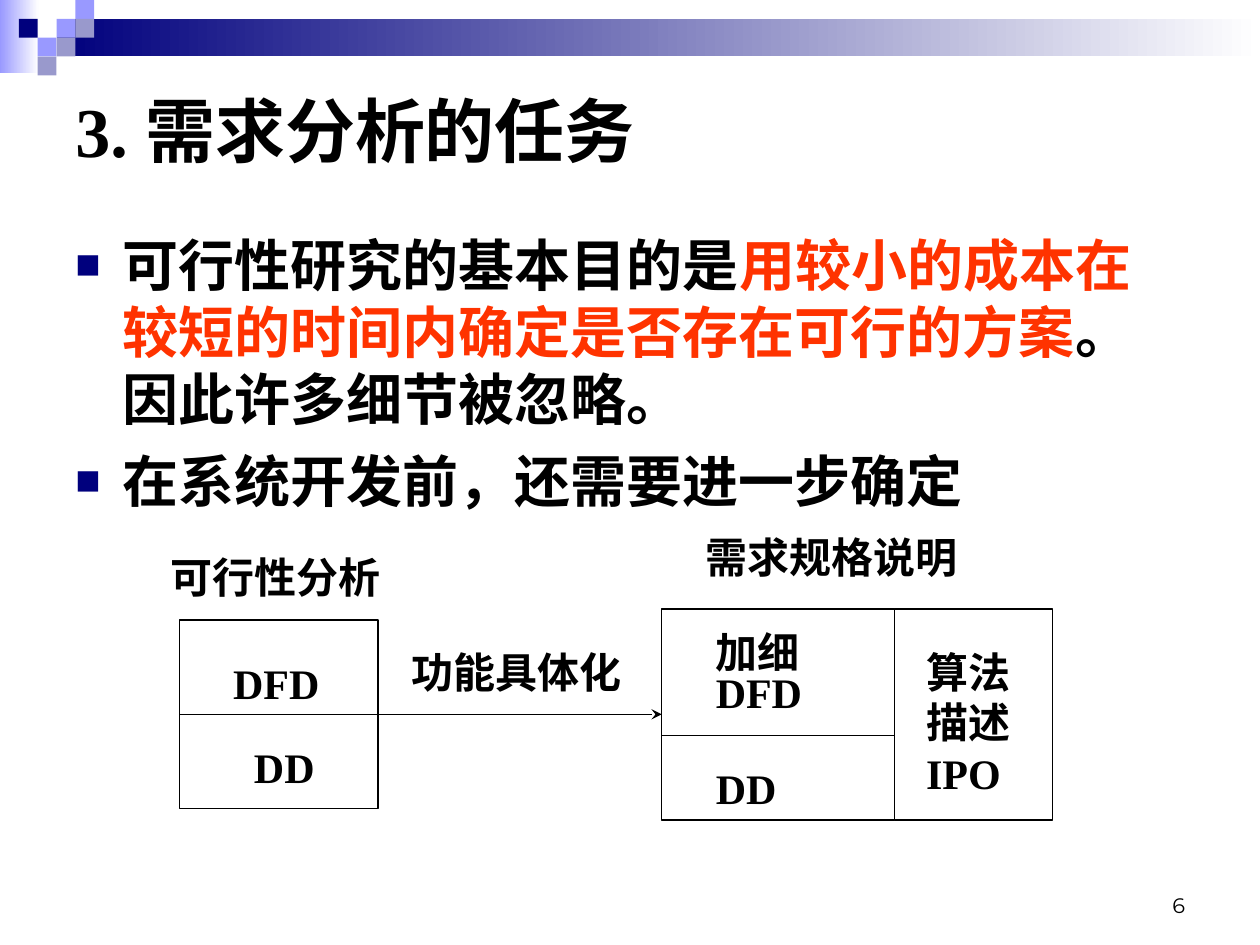
import pptx
import pptx.dml.color
import pptx.enum.shapes
import pptx.enum.text
import pptx.oxml
import pptx.oxml.ns
import pptx.util
from pptx.util import Cm

COLORS = {
    "black": "000000",
    "white": "FFFFFF",
    "navy": "00007D",
    "lilac": "9999FF",
    "dusk": "9999CC",
    "red": "FF3300",
}
SERIF = "Times New Roman"
BRICK = 0.38
ANCHOR = pptx.enum.text.MSO_ANCHOR
ALIGN = pptx.enum.text.PP_ALIGN


def rgb(name):
    return pptx.dml.color.RGBColor.from_string(COLORS[name])


def append_xml(parent, tag, content="", **attributes):
    pairs = " ".join(f'{key}="{value}"' for key, value in attributes.items())
    namespace = pptx.oxml.ns.nsdecls("a")
    element = pptx.oxml.parse_xml(f"<a:{tag} {namespace} {pairs}>{content}</a:{tag}>")
    parent.append(element)


def add_rectangle(page, left, top, width, height, fill=None, fade_from=None, outline=None):
    kind = pptx.enum.shapes.MSO_SHAPE.RECTANGLE
    shape = page.shapes.add_shape(kind, Cm(left), Cm(top), Cm(width), Cm(height))
    shape.shadow.inherit = False
    if fade_from:
        shape.fill.gradient()
        shape.fill.gradient_angle = 0
        for stop, color in zip(shape.fill.gradient_stops, (fade_from, "white")):
            stop.color.rgb = rgb(color)
    elif fill:
        shape.fill.solid()
        shape.fill.fore_color.rgb = rgb(fill)
    else:
        shape.fill.background()
    if outline:
        shape.line.color.rgb = rgb(outline)
        shape.line.width = pptx.util.Pt(0.75)
    else:
        shape.line.fill.background()


def add_arrow(page, start, end, height):
    kind = pptx.enum.shapes.MSO_CONNECTOR.STRAIGHT
    arrow = page.shapes.add_connector(kind, Cm(start), Cm(height), Cm(end), Cm(height))
    arrow.line.color.rgb = rgb("black")
    arrow.line.width = pptx.util.Pt(0.75)
    append_xml(arrow.line._get_or_add_ln(), "tailEnd", type="stealth")
    append_xml(arrow._element.spPr, "effectLst")


def set_bullet(para):
    properties = para._p.get_or_add_pPr()
    properties.set("marL", str(Cm(0.95)))
    properties.set("indent", str(Cm(-0.95)))
    append_xml(properties, "buClr", f'<a:srgbClr val="{COLORS["navy"]}"/>')
    append_xml(properties, "buSzPct", val=75000)
    append_xml(properties, "buFont", typeface="Arial")
    append_xml(properties, "buChar", char="■")


def add_text(page, paragraphs, left, top, width, height, size=24, font=SERIF, bold=True,
             align=ALIGN.LEFT, anchor=ANCHOR.TOP, line_spacing=None, space_before=0,
             bullet=False):
    box = page.shapes.add_textbox(Cm(left), Cm(top), Cm(width), Cm(height))
    frame = box.text_frame
    frame.word_wrap = True
    frame.vertical_anchor = anchor
    if isinstance(paragraphs, str):
        paragraphs = [paragraphs]
    for index, content in enumerate(paragraphs):
        para = frame.paragraphs[0] if index == 0 else frame.add_paragraph()
        para.alignment = align
        if line_spacing:
            para.line_spacing = line_spacing
        if index:
            para.space_before = pptx.util.Pt(space_before)
        if bullet:
            set_bullet(para)
        spans = [(content, "black")] if isinstance(content, str) else content
        for words, color in spans:
            span = para.add_run()
            span.text = words
            span.font.name = font
            span.font.size = pptx.util.Pt(size)
            span.font.bold = bold
            span.font.color.rgb = rgb(color)


def add_banner(page):
    add_rectangle(page, 0, 0, 0.78, 1.47, fade_from="lilac")
    add_rectangle(page, 1.15, BRICK, 24.25, 0.76, fade_from="navy")
    bricks = [
        (3, 1, "lilac"), (4, 0, "lilac"), (4, 1, "dusk"), (2, 2, "lilac"),
        (1, 1, "navy"), (3, 2, "dusk"), (2, 3, "dusk"),
    ]
    for column, row, color in bricks:
        add_rectangle(page, column * BRICK, row * BRICK, BRICK, BRICK, fill=color)


def add_diagram(page):
    cells = [
        (3.62, 12.5, 4, 1.9), (3.62, 14.4, 4, 1.9),
        (13.34, 12.28, 4.7, 2.55), (13.34, 14.83, 4.7, 1.7),
        (18.04, 12.28, 3.18, 4.25),
    ]
    for cell in cells:
        add_rectangle(page, *cell, outline="black")
    add_arrow(page, 7.62, 13.34, 14.4)
    labels = [
        ("可行性分析", 3.18, 11, 5.08),
        ("DFD", 4.45, 13.13, 2.75),
        ("DD", 4.87, 14.82, 1.9),
        ("功能具体化", 8.05, 12.91, 5.08),
        ("需求规格说明", 13.97, 10.58, 5.93),
        ("DD", 14.18, 15.24, 2.54),
    ]
    for words, left, top, width in labels:
        add_text(page, words, left, top, width, 1.27)
    add_text(page, ["加细", "DFD"], 14.18, 12.7, 2.33, 1.88, line_spacing=0.8)
    add_text(page, "算法描述IPO", 18.42, 12.91, 2.33, 3.3)


def main():
    deck = pptx.Presentation()
    deck.slide_width, deck.slide_height = Cm(25.4), Cm(19.05)
    page = deck.slides.add_slide(deck.slide_layouts[6])
    add_banner(page)
    add_text(page, "6", 18.21, 17.35, 5.93, 1.27, size=12, font="Montserrat", bold=False,
             align=ALIGN.RIGHT, anchor=ANCHOR.BOTTOM)
    add_text(page, "3. 需求分析的任务", 1.27, 1.27, 22.86, 2.67, size=40,
             anchor=ANCHOR.MIDDLE)
    points = [
        [
            ("可行性研究的基本目的是", "black"),
            ("用较小的成本在较短的时间内确定是否存在可行的方案", "red"),
            ("。因此许多细节被忽略。", "black"),
        ],
        "在系统开发前，还需要进一步确定",
    ]
    add_text(page, points, 1.27, 4.52, 22.86, 12.4, size=32, space_before=8, bullet=True)
    add_diagram(page)
    deck.save("out.pptx")


if __name__ == "__main__":
    main()
